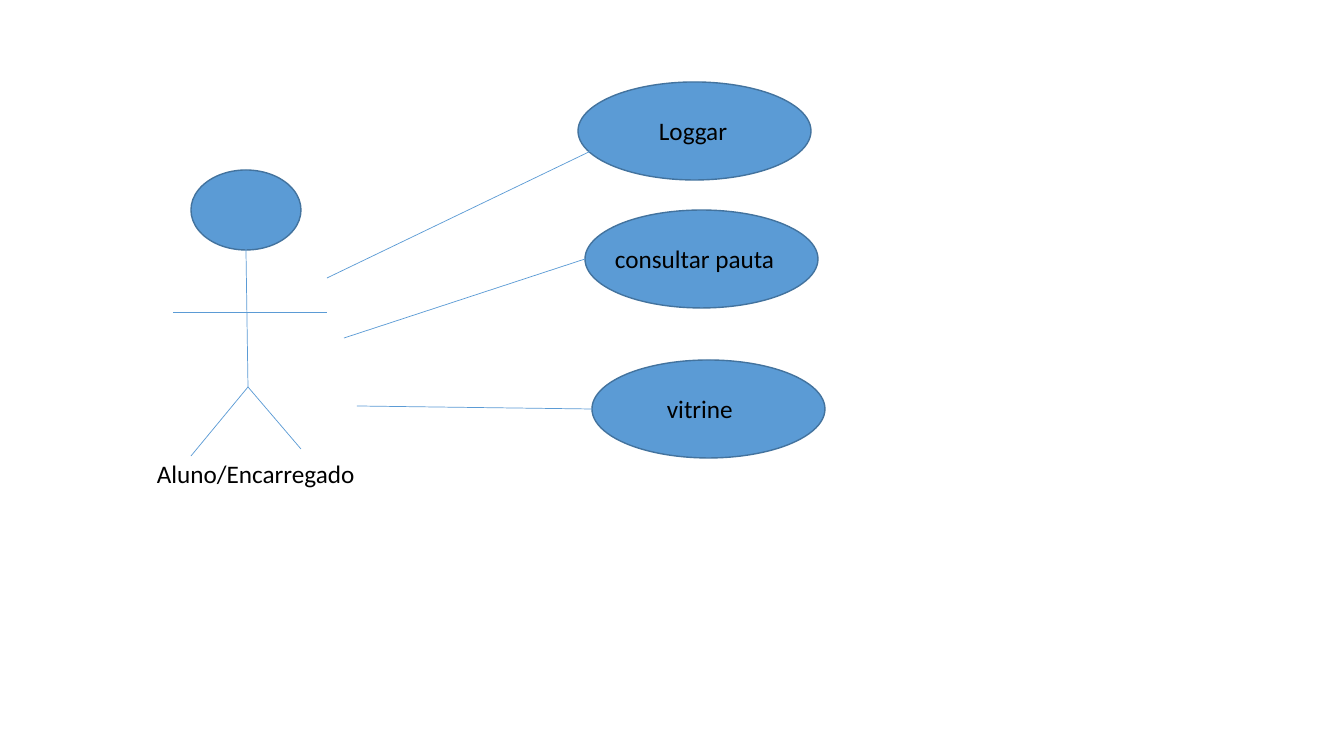
import pptx
import pptx.util
import pptx.dml.color
import pptx.enum.shapes
import pptx.oxml.ns
import lxml.etree

RGBColor = pptx.dml.color.RGBColor
BLUE = RGBColor(0x5B, 0x9B, 0xD5)
DARK_BLUE = RGBColor(0x43, 0x73, 0x9E)
BLACK = RGBColor(0, 0, 0)


def px(n):
    return pptx.util.Emu(round(n * 914400 / 100.8))


class Diagram:
    """Use case diagram style and the slide it is drawn on."""

    font = "Calibri"
    size = pptx.util.Pt(18)

    def __init__(self, s):
        self.s = s

    def ellipse(self, x, y, w, h):
        sp = self.s.shapes.add_shape(
            pptx.enum.shapes.MSO_SHAPE.OVAL, px(x), px(y), px(w), px(h))
        sp.shadow.inherit = False
        sp.fill.solid()
        sp.fill.fore_color.rgb = BLUE
        sp.line.color.rgb = DARK_BLUE
        sp.line.width = pptx.util.Pt(1)

    def line(self, x1, y1, x2, y2):
        c = self.s.shapes.add_connector(
            pptx.enum.shapes.MSO_CONNECTOR.STRAIGHT, px(x1), px(y1), px(x2), px(y2))
        c.line.color.rgb = BLUE
        c.line.width = pptx.util.Pt(0.5)
        lxml.etree.SubElement(c._element.spPr, pptx.oxml.ns.qn("a:effectLst"))

    def text(self, x, y, w, h, words):
        tf = self.s.shapes.add_textbox(px(x), px(y), px(w), px(h)).text_frame
        tf.word_wrap = True
        r = tf.paragraphs[0].add_run()
        r.text = words
        r.font.name = self.font
        r.font.size = self.size
        r.font.color.rgb = BLACK


prs = pptx.Presentation()
prs.slide_width, prs.slide_height = px(1344), px(756)
d = Diagram(prs.slides.add_slide(prs.slide_layouts[6]))

d.ellipse(191, 170, 110, 80)
neck, shoulder, hip = (246, 249), (248, 312), (248, 387)
d.line(*neck, *hip)
for hand in (327, 173):
    d.line(*shoulder, hand, shoulder[1])
for foot in ((301, 449), (191, 456)):
    d.line(*hip, *foot)
d.text(147, 453, 223, 40, "Aluno/Encarregado")

use_cases = (
    ("Loggar", 578, 82, 71, (327, 278, 593, 150)),
    ("consultar pauta", 585, 210, 20, (344, 338, 585, 259)),
    ("vitrine", 592, 360, 65, (357, 406, 592, 409)),
)
for name, x, y, indent, link in use_cases:
    d.ellipse(x, y, 233, 98)
    d.text(x + indent, y + 28, 189, 40, name)
    d.line(*link)

prs.save("out.pptx")
